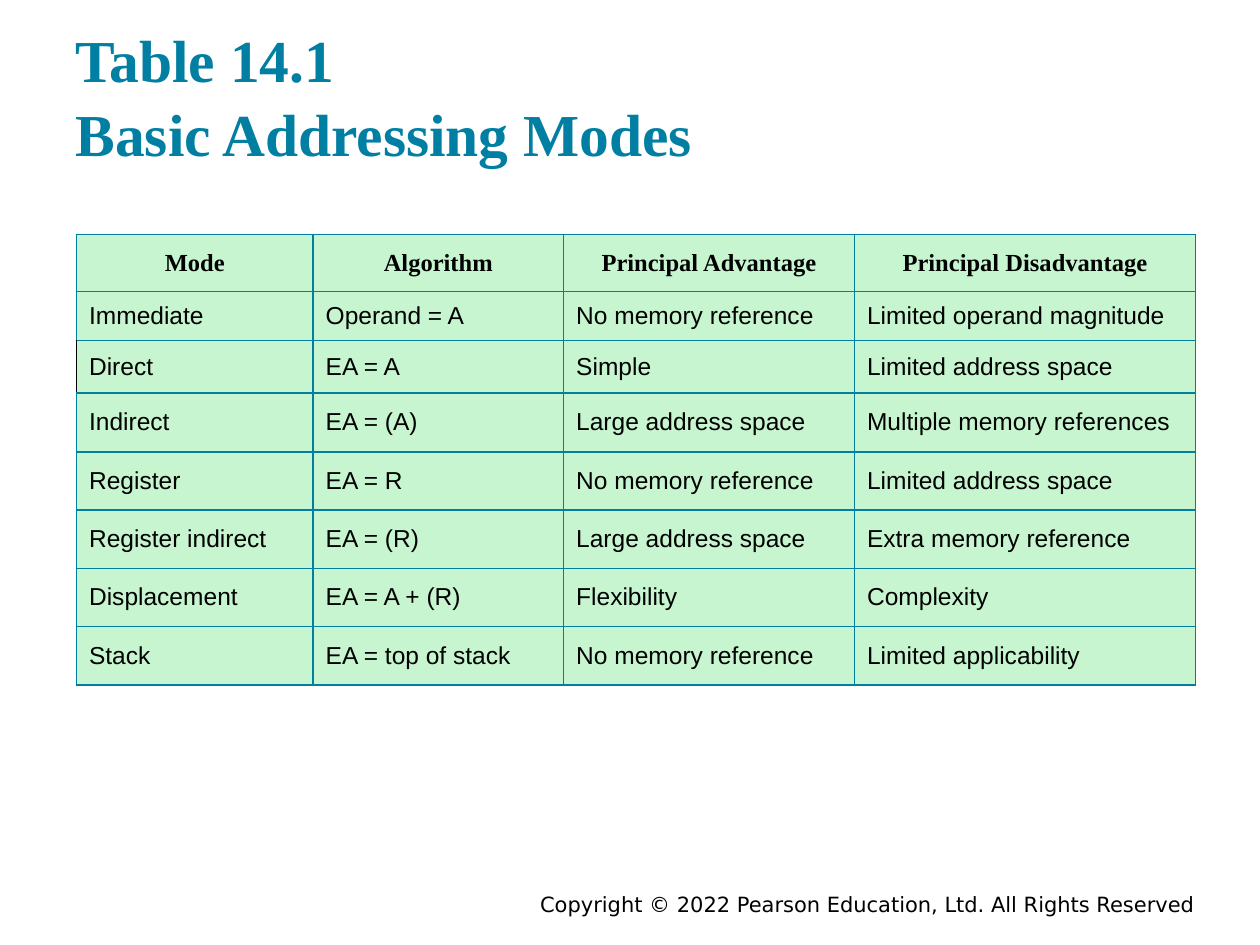
import dataclasses
import pptx
import pptx.util
import pptx.dml.color
import pptx.enum.text
import pptx.oxml
import pptx.oxml.ns

Pt = pptx.util.Pt
RGB = pptx.dml.color.RGBColor.from_string
Align = pptx.enum.text.PP_ALIGN
Anchor = pptx.enum.text.MSO_ANCHOR
Fit = pptx.enum.text.MSO_AUTO_SIZE


@dataclasses.dataclass(frozen=True)
class Theme:
    teal: str = "007FA3"
    mint: str = "C6F5CF"
    ink: str = "000000"
    serif: str = "Times New Roman"
    sans: str = "Arial"
    small: str = "DejaVu Sans"
    head: int = 34
    body: int = 14
    foot: int = 12
    line: int = 1


class Page:
    def __init__(self, deck, theme):
        self.theme = theme
        self.slide = deck.slides.add_slide(deck.slide_layouts[5])

    def style(self, para, face, size, color, bold=False, align=Align.LEFT):
        para.alignment = align
        font = para.font
        font.name, font.size, font.bold = face, Pt(size), bold
        font.color.rgb = RGB(color)

    def place(self, shape, box):
        shape.left, shape.top, shape.width, shape.height = map(Pt, box)

    def title(self, text, box):
        shape = self.slide.shapes.title
        self.place(shape, box)
        frame = shape.text_frame
        frame.text = text
        frame.word_wrap = True
        frame.auto_size = Fit.NONE
        frame.vertical_anchor = Anchor.BOTTOM
        para = frame.paragraphs[0]
        para.line_spacing = 1.04
        t = self.theme
        self.style(para, t.serif, t.head, t.teal, True)

    def note(self, text, box):
        frame = self.slide.shapes.add_textbox(*map(Pt, box)).text_frame
        frame.word_wrap = True
        frame.text = text
        t = self.theme
        self.style(frame.paragraphs[0], t.small, t.foot, t.ink, align=Align.RIGHT)

    def border(self, cell, left):
        props = cell._tc.get_or_add_tcPr()
        t = self.theme
        sides = {"lnL": left, "lnR": t.teal, "lnT": t.teal, "lnB": t.teal}
        for i, (side, color) in enumerate(sides.items()):
            props.insert(i, pptx.oxml.parse_xml(
                f'<a:{side} {pptx.oxml.ns.nsdecls("a")} w="{Pt(t.line)}">'
                f'<a:solidFill><a:srgbClr val="{color}"/></a:solidFill></a:{side}>'))

    def table(self, rows, spot, widths, heights, dark):
        size = sum(widths), sum(heights)
        grid = self.slide.shapes.add_table(
            len(rows), len(widths), *map(Pt, spot + size)).table
        for col, width in zip(grid.columns, widths):
            col.width = Pt(width)
        for row, height in zip(grid.rows, heights):
            row.height = Pt(height)
        t = self.theme
        for r, row in enumerate(rows):
            for c, text in enumerate(row):
                cell = grid.cell(r, c)
                cell.text = text
                cell.vertical_anchor = Anchor.MIDDLE
                cell.fill.solid()
                cell.fill.fore_color.rgb = RGB(t.mint)
                self.border(cell, t.ink if (r, c) == dark else t.teal)
                top = r == 0
                self.style(cell.text_frame.paragraphs[0],
                           t.serif if top else t.sans, t.body, t.ink, top,
                           Align.CENTER if top else Align.LEFT)


MODES = [
    ("Mode", "Algorithm", "Principal Advantage", "Principal Disadvantage"),
    ("Immediate", "Operand = A", "No memory reference", "Limited operand magnitude"),
    ("Direct", "EA = A", "Simple", "Limited address space"),
    ("Indirect", "EA = (A)", "Large address space", "Multiple memory references"),
    ("Register", "EA = R", "No memory reference", "Limited address space"),
    ("Register indirect", "EA = (R)", "Large address space", "Extra memory reference"),
    ("Displacement", "EA = A + (R)", "Flexibility", "Complexity"),
    ("Stack", "EA = top of stack", "No memory reference", "Limited applicability"),
]


def main():
    deck = pptx.Presentation()
    deck.slide_width, deck.slide_height = Pt(720), Pt(540)
    page = Page(deck, Theme())
    page.note("Copyright © 2022 Pearson Education, Ltd. All Rights Reserved",
              (126, 506, 564, 16))
    page.title("Table 14.1 \vBasic Addressing Modes", (36, 13.7, 648, 86.4))
    page.table(MODES, (43.7, 134), (135.2, 143.2, 166.2, 195),
               (32.5, 28.2, 29.9, 33.7) + (33.3,) * 4, dark=(2, 0))
    deck.save("out.pptx")


if __name__ == "__main__":
    main()
